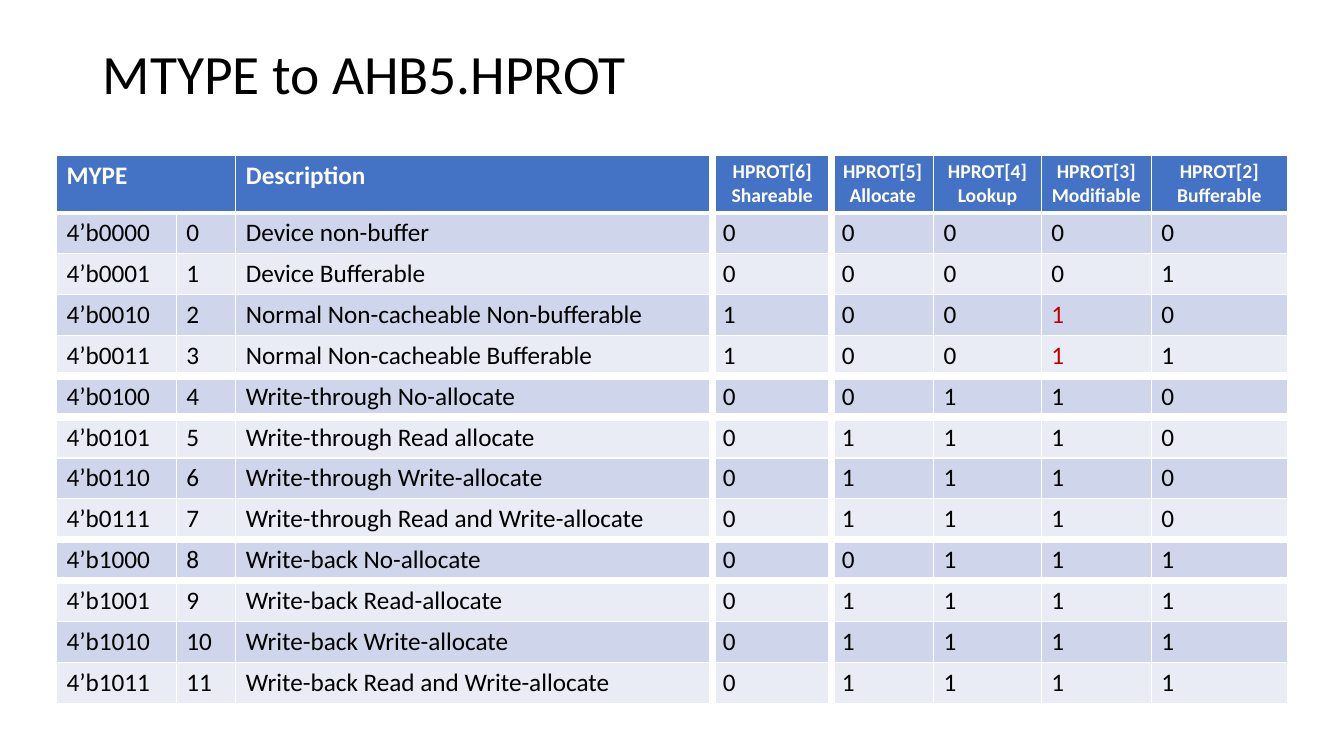
from dataclasses import dataclass

from lxml import etree
from pptx import Presentation
from pptx.dml.color import RGBColor
from pptx.enum.text import MSO_ANCHOR, PP_ALIGN
from pptx.oxml.ns import qn
from pptx.util import Inches, Pt

LEFT = PP_ALIGN.LEFT
CENTER = PP_ALIGN.CENTER
MIDDLE = MSO_ANCHOR.MIDDLE


@dataclass(frozen=True)
class Theme:
    font: str = "Calibri"
    ink: str = "000000"
    white: str = "FFFFFF"
    header: str = "4472C4"
    bands: tuple = ("CFD5EA", "E9EBF5")
    accent: str = "C00000"
    title_size: float = 39.6
    body_size: float = 18
    signal_size: float = 14
    thin: float = 1
    medium: float = 3
    thick: float = 6


THEME = Theme()

COLUMN_WIDTHS = (1.19, 0.59, 4.73, 1.18, 1.01, 1.07, 1.09, 1.35)
HEADER_HEIGHT = 0.57
SIGNAL_MARGIN = 0.08
HEADINGS = (
    "MYPE", "", "Description", "HPROT[6]\nShareable", "HPROT[5]\nAllocate",
    "HPROT[4]\nLookup", "HPROT[3]\nModifiable", "HPROT[2]\nBufferable",
)
MEMORY_TYPES = (
    ("Device non-buffer", "00000"),
    ("Device Bufferable", "00001"),
    ("Normal Non-cacheable Non-bufferable", "10010"),
    ("Normal Non-cacheable Bufferable", "10011"),
    ("Write-through No-allocate", "00110"),
    ("Write-through Read allocate", "01110"),
    ("Write-through Write-allocate", "01110"),
    ("Write-through Read and Write-allocate", "01110"),
    ("Write-back No-allocate", "00111"),
    ("Write-back Read-allocate", "01111"),
    ("Write-back Write-allocate", "01111"),
    ("Write-back Read and Write-allocate", "01111"),
)
FIRST_SIGNAL = 3
HIGHLIGHTS = {(3, 6), (4, 6)}
THICK_COLUMN_EDGES = {3, 4}
ROW_EDGES = {1: THEME.medium, **dict.fromkeys((5, 6, 9, 10), THEME.thick)}


def write_text(frame, text, size, color, bold=False, align=LEFT):
    frame.text = text
    for para in frame.paragraphs:
        para.alignment = align
        for span in para.runs:
            for name, value in dict(name=THEME.font, size=Pt(size), bold=bold).items():
                setattr(span.font, name, value)
            span.font.color.rgb = RGBColor.from_string(color)


def set_borders(cell, row, column):
    def column_edge(index):
        return THEME.thick if index in THICK_COLUMN_EDGES else THEME.thin

    def row_edge(index):
        return ROW_EDGES.get(index, THEME.thin)

    widths = {
        "a:lnL": column_edge(column),
        "a:lnR": column_edge(column + 1),
        "a:lnT": row_edge(row),
        "a:lnB": row_edge(row + 1),
    }
    properties = cell._tc.get_or_add_tcPr()
    for position, (tag, width) in enumerate(widths.items()):
        line = etree.Element(qn(tag), w=str(Pt(width)))
        fill = etree.SubElement(line, qn("a:solidFill"))
        etree.SubElement(fill, qn("a:srgbClr"), val=THEME.white)
        properties.insert(position, line)


def style_cell(cell, text, row, column):
    is_header = row == 0
    is_signal_heading = is_header and column >= FIRST_SIGNAL
    if is_header:
        fill, color = THEME.header, THEME.white
    else:
        fill = THEME.bands[(row - 1) % 2]
        color = THEME.accent if (row, column) in HIGHLIGHTS else THEME.ink
    if is_signal_heading:
        cell.margin_left = cell.margin_right = Inches(SIGNAL_MARGIN)
    cell.fill.solid()
    cell.fill.fore_color.rgb = RGBColor.from_string(fill)
    set_borders(cell, row, column)
    write_text(
        cell.text_frame, text,
        THEME.signal_size if is_signal_heading else THEME.body_size,
        color, is_header, CENTER if is_signal_heading else LEFT,
    )


def add_title(page, left, top, width, height):
    box = page.shapes.add_textbox(*map(Inches, (left, top, width, height)))
    frame = box.text_frame
    frame.word_wrap = True
    frame.vertical_anchor = MIDDLE
    write_text(frame, "MTYPE to AHB5.HPROT", THEME.title_size, THEME.ink)
    frame.paragraphs[0].line_spacing = 0.9


def add_memory_table(page, left, top, height):
    rows = [HEADINGS]
    for number, (description, bits) in enumerate(MEMORY_TYPES):
        rows.append((f"4’b{number:04b}", str(number), description, *bits))
    row_height = (height - HEADER_HEIGHT) / len(MEMORY_TYPES)
    heights = [HEADER_HEIGHT] + [row_height] * len(MEMORY_TYPES)
    area = map(Inches, (left, top, sum(COLUMN_WIDTHS), height))
    table = page.shapes.add_table(len(rows), len(COLUMN_WIDTHS), *area).table
    for column, width in zip(table.columns, COLUMN_WIDTHS):
        column.width = Inches(width)
    for row, size in zip(table.rows, heights):
        row.height = Inches(size)
    for row, texts in enumerate(rows):
        for column, text in enumerate(texts):
            style_cell(table.cell(row, column), text, row, column)
    table.cell(0, 0).merge(table.cell(0, 1))


def main():
    deck = Presentation()
    deck.slide_width = Inches(13.33)
    deck.slide_height = Inches(7.5)
    page = deck.slides.add_slide(deck.slide_layouts[6])
    add_title(page, 0.92, 0.4, 11.5, 0.71)
    add_memory_table(page, 0.56, 1.54, 5.44)
    deck.save("out.pptx")


if __name__ == "__main__":
    main()
